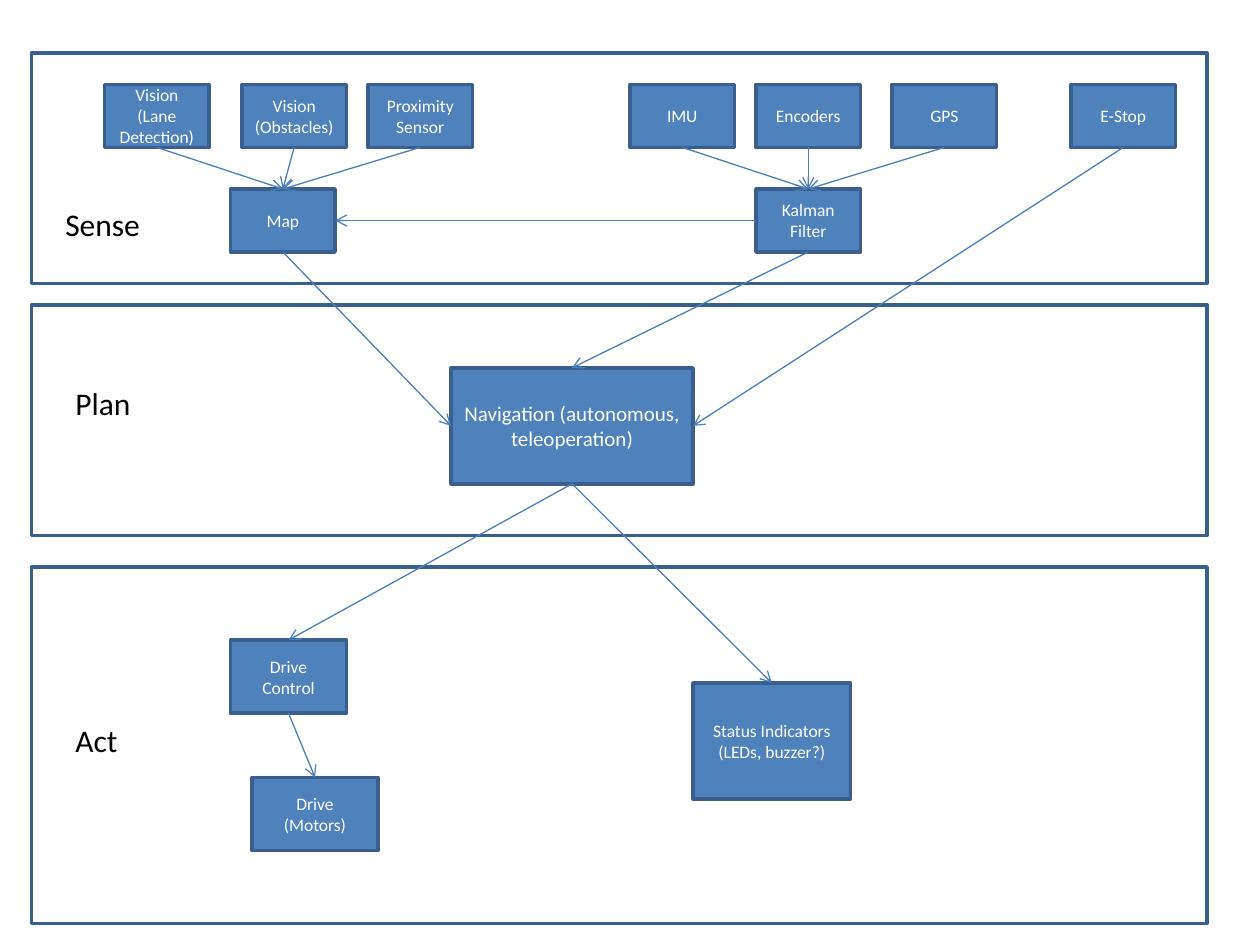
from dataclasses import dataclass

from lxml import etree
from pptx import Presentation
from pptx import util as u
from pptx.dml.color import RGBColor
from pptx.enum import shapes, text
from pptx.oxml.ns import qn


@dataclass(frozen=True)
class Theme:
    font: str = "Calibri"
    node_fill: RGBColor = RGBColor(0x4F, 0x81, 0xBD)
    outline: RGBColor = RGBColor(0x3A, 0x5F, 0x8C)
    arrow: RGBColor = RGBColor(0x4B, 0x7E, 0xBC)
    node_text: RGBColor = RGBColor(0xFF, 0xFF, 0xFF)
    label_text: RGBColor = RGBColor(0, 0, 0)
    node_size: int = 10
    main_size: int = 12
    label_size: int = 18
    outline_width: float = 2
    arrow_width: float = 0.75


THEME = Theme()
TOP, LEFT, BOTTOM, RIGHT = range(4)
SENSOR_SIZE = (0.83, 0.5)


def write(shape, words, size, color):
    shape.text_frame.text = words
    shape.text_frame.word_wrap = True
    para = shape.text_frame.paragraphs[0]
    font = para.runs[0].font
    font.name, font.size, font.color.rgb = THEME.font, u.Pt(size), color
    return para


def add_box(page, kind, box):
    shape = page.shapes.add_shape(kind, *map(u.Inches, box))
    shape.shadow.inherit = False
    shape.line.color.rgb = THEME.outline
    shape.line.width = u.Pt(THEME.outline_width)
    return shape


def add_node(page, band, offset, size, words, points=THEME.node_size):
    box = (band[0] + offset[0], band[1] + offset[1], *size)
    node = add_box(page, shapes.MSO_SHAPE.FLOWCHART_PROCESS, box)
    node.fill.solid()
    node.fill.fore_color.rgb = THEME.node_fill
    para = write(node, words, points, THEME.node_text)
    para.alignment = text.PP_ALIGN.CENTER
    node.text_frame.vertical_anchor = text.MSO_ANCHOR.MIDDLE
    return node


def add_band(page, band, words, offset):
    frame = add_box(page, shapes.MSO_SHAPE.RECTANGLE, band)
    frame.fill.background()
    box = (band[0] + offset[0], band[1] + offset[1], 0.83, 0.4)
    label = page.shapes.add_textbox(*map(u.Inches, box))
    write(label, words, THEME.label_size, THEME.label_text)
    label.text_frame.auto_size = text.MSO_AUTO_SIZE.SHAPE_TO_FIT_TEXT


def add_arrow(page, start, start_side, end, end_side):
    arrow = page.shapes.add_connector(shapes.MSO_CONNECTOR.STRAIGHT, 0, 0, 0, 0)
    arrow.begin_connect(start, start_side)
    arrow.end_connect(end, end_side)
    arrow.line.color.rgb = THEME.arrow
    arrow.line.width = u.Pt(THEME.arrow_width)
    properties = arrow.line._get_or_add_ln()
    etree.SubElement(properties, qn("a:tailEnd"), type="arrow")
    etree.SubElement(properties.getparent(), qn("a:effectLst"))


def build_sense(page, band):
    add_band(page, band, "Sense", (0.17, 1.16))
    groups = {
        "Map": (1.58, {"Vision (Lane Detection)": 0.58,
                       "Vision (Obstacles)": 1.67,
                       "Proximity Sensor": 2.67}),
        "Kalman Filter": (5.75, {"IMU": 4.75, "Encoders": 5.75, "GPS": 6.83}),
    }
    hubs = []
    for hub_name, (hub_left, sensors) in groups.items():
        hub = add_node(page, band, (hub_left, 1.08), SENSOR_SIZE, hub_name)
        for name, left in sensors.items():
            sensor = add_node(page, band, (left, 0.25), SENSOR_SIZE, name)
            add_arrow(page, sensor, BOTTOM, hub, TOP)
        hubs.append(hub)
    world_map, kalman = hubs
    add_arrow(page, kalman, LEFT, world_map, RIGHT)
    stop = add_node(page, band, (8.25, 0.25), SENSOR_SIZE, "E-Stop")
    return world_map, kalman, stop


def build_plan(page, band):
    add_band(page, band, "Plan", (0.25, 0.58))
    return add_node(page, band, (3.33, 0.5), (1.92, 0.92),
                    "Navigation (autonomous, teleoperation)", THEME.main_size)


def build_act(page, band):
    add_band(page, band, "Act", (0.25, 1.17))
    control = add_node(page, band, (1.58, 0.58), (0.92, 0.58), "Drive Control")
    motors = add_node(page, band, (1.75, 1.67), (1, 0.58), "Drive (Motors)")
    status = add_node(page, band, (5.25, 0.92), (1.25, 0.92),
                      "Status Indicators (LEDs, buzzer?)")
    add_arrow(page, control, BOTTOM, motors, TOP)
    return control, status


def main():
    deck = Presentation()
    deck.slide_width, deck.slide_height = u.Inches(10), u.Inches(7.5)
    page = deck.slides.add_slide(deck.slide_layouts[6])

    world_map, kalman, stop = build_sense(page, (0.25, 0.42, 9.33, 1.83))
    navigation = build_plan(page, (0.25, 2.42, 9.33, 1.83))
    control, status = build_act(page, (0.25, 4.5, 9.33, 2.83))

    for source, side in ((world_map, LEFT), (kalman, TOP), (stop, RIGHT)):
        add_arrow(page, source, BOTTOM, navigation, side)
    for target in (control, status):
        add_arrow(page, navigation, BOTTOM, target, TOP)

    deck.save("out.pptx")


if __name__ == "__main__":
    main()
